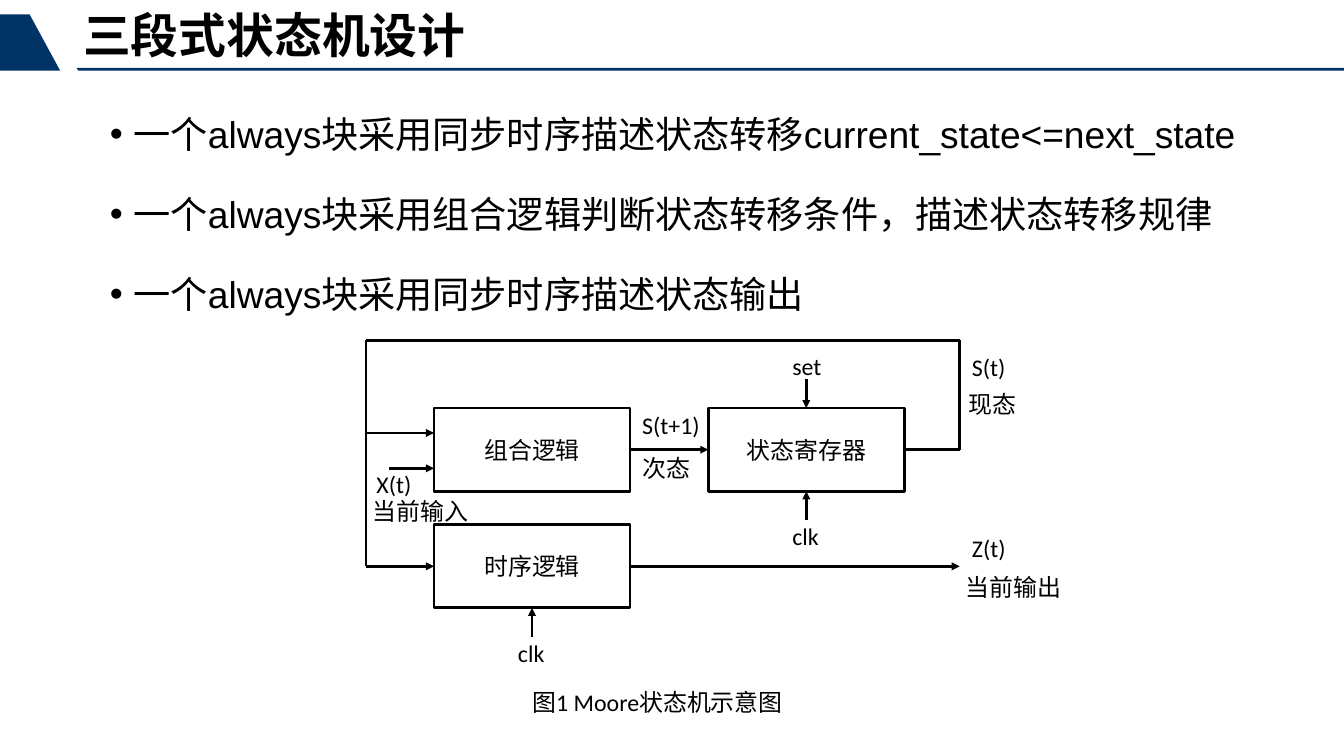
from dataclasses import dataclass

from lxml.etree import SubElement
from pptx import Presentation
from pptx.dml.color import RGBColor
from pptx.enum.shapes import MSO_CONNECTOR as Connector, MSO_SHAPE as Shape
from pptx.enum.text import MSO_ANCHOR as Anchor, MSO_AUTO_SIZE as AutoSize, PP_ALIGN as Align
from pptx.oxml.ns import qn
from pptx.util import Inches, Pt


@dataclass(frozen=True)
class Theme:
    ink: RGBColor = RGBColor(0x00, 0x00, 0x00)
    navy: RGBColor = RGBColor(0x00, 0x33, 0x66)
    heading_font: str = "Arial"
    label_font: str = "Calibri"
    title_size: int = 36
    bullet_size: int = 28
    label_size: int = 18
    line_width: int = 2


THEME = Theme()
TOP, LEFT, BOTTOM, RIGHT = range(4)

# Content
TITLE = "三段式状态机设计"
BULLETS = [
    "一个always块采用同步时序描述状态转移current_state<=next_state",
    "一个always块采用组合逻辑判断状态转移条件，描述状态转移规律",
    "一个always块采用同步时序描述状态输出",
]
CAPTION = "图1 Moore状态机示意图"
HEADER_SHAPES = [
    [(0.8, 0.71), (14.06, 0.71), (14.06, 0.74), (0.82, 0.74)],
    [(0.31, 0.15), (0.63, 0.74), (0, 0.74), (0, 0.15)],
]

# Diagram: blocks share one size, and wires follow from the blocks
BLOCK_WIDTH, BLOCK_HEIGHT = 2.05, 0.87
BLOCKS = {
    "logic": ("组合逻辑", 4.54, 4.27),
    "register": ("状态寄存器", 7.41, 4.27),
    "output": ("时序逻辑", 4.54, 5.49),
}
FEEDBACK_LEFT, FEEDBACK_RIGHT, FEEDBACK_TOP = 3.83, 10.04, 3.56
STATE_INPUT_Y, SIGNAL_INPUT_X, SIGNAL_INPUT_Y = 4.53, 4.07, 4.9
STUB = 0.3
LABELS = [
    ("S(t+1)", 6.62, 4.25, 0.81),
    ("次态", 6.62, 4.7, 0.71),
    ("clk", 8.19, 5.41, 0.48),
    ("set", 8.19, 3.63, 0.51),
    ("S(t)", 10.07, 3.64, 0.56),
    ("Z(t)", 10.07, 5.53, 0.56),
    ("现态", 10.03, 4.03, 0.71),
    ("当前输出", 10, 5.94, 1.21),
    ("当前输入", 3.8, 5.15, 1.21),
    ("X(t)", 3.84, 4.86, 0.57),
    ("clk", 5.32, 6.63, 0.48),
]


def add_text(paragraph, text, size, font, bold=False):
    run = paragraph.add_run()
    run.text = text
    run.font.size = Pt(size)
    run.font.name = font
    run.font.bold = bold
    run.font.color.rgb = THEME.ink


def add_label(slide, text, left, top, width, wrap=False):
    box = slide.shapes.add_textbox(Inches(left), Inches(top), Inches(width), Inches(0.4))
    box.text_frame.word_wrap = wrap
    add_text(box.text_frame.paragraphs[0], text, THEME.label_size, THEME.label_font)


def add_block(slide, text, left, top):
    block = slide.shapes.add_shape(
        Shape.RECTANGLE, Inches(left), Inches(top), Inches(BLOCK_WIDTH), Inches(BLOCK_HEIGHT))
    block.shadow.inherit = False
    block.fill.background()
    block.line.color.rgb = THEME.ink
    block.line.width = Pt(THEME.line_width)
    block.text_frame.vertical_anchor = Anchor.MIDDLE
    paragraph = block.text_frame.paragraphs[0]
    paragraph.alignment = Align.CENTER
    add_text(paragraph, text, THEME.label_size, THEME.heading_font)
    return block


def add_wire(slide, start, end, arrow=False, source=None, target=None):
    """Draw a wire; source and target are optional (block, side) joints."""
    points = [Inches(value) for value in (*start, *end)]
    wire = slide.shapes.add_connector(Connector.STRAIGHT, *points)
    wire.line.color.rgb = THEME.ink
    wire.line.width = Pt(THEME.line_width)
    if source:
        wire.begin_connect(*source)
    if target:
        wire.end_connect(*target)
    properties = wire._element.spPr
    if arrow:
        SubElement(properties.get_or_add_ln(), qn("a:tailEnd"), type="triangle")
    SubElement(properties, qn("a:effectLst"))


def side_point(name, side):
    _, left, top = BLOCKS[name]
    return {
        TOP: (left + BLOCK_WIDTH / 2, top),
        LEFT: (left, top + BLOCK_HEIGHT / 2),
        BOTTOM: (left + BLOCK_WIDTH / 2, top + BLOCK_HEIGHT),
        RIGHT: (left + BLOCK_WIDTH, top + BLOCK_HEIGHT / 2),
    }[side]


def add_header(slide):
    for points in HEADER_SHAPES:
        corners = [(Inches(x), Inches(y)) for x, y in points]
        builder = slide.shapes.build_freeform(*corners[0])
        builder.add_line_segments(corners[1:], close=True)
        shape = builder.convert_to_shape()
        shape.shadow.inherit = False
        shape.fill.solid()
        shape.fill.fore_color.rgb = THEME.navy
        shape.line.fill.background()

    title = slide.shapes.title
    title.left, title.top, title.width, title.height = map(Inches, (0.77, 0.08, 9, 1.25))
    title.text_frame.vertical_anchor = Anchor.TOP
    title.text_frame.auto_size = AutoSize.NONE
    paragraph = title.text_frame.paragraphs[0]
    paragraph.alignment = Align.LEFT
    paragraph.line_spacing = 0.9
    add_text(paragraph, TITLE, THEME.title_size, THEME.heading_font, bold=True)


def add_bullets(slide):
    box = slide.shapes.add_textbox(*map(Inches, (1.05, 0.88, 12.52, 2.6)))
    frame = box.text_frame
    frame.word_wrap = True
    for index, text in enumerate(BULLETS):
        paragraph = frame.add_paragraph() if index else frame.paragraphs[0]
        paragraph.line_spacing = 1.5
        paragraph.space_before = Pt(10)
        properties = paragraph._p.get_or_add_pPr()
        properties.set("marL", str(Inches(0.25)))
        properties.set("indent", str(-Inches(0.25)))
        SubElement(properties, qn("a:buFont"), typeface=THEME.heading_font)
        SubElement(properties, qn("a:buChar"), char="•")
        add_text(paragraph, text, THEME.bullet_size, THEME.heading_font)


def add_diagram(slide):
    blocks = {name: add_block(slide, *block) for name, block in BLOCKS.items()}

    # Next state and output
    register_out = side_point("register", RIGHT)
    output_out = side_point("output", RIGHT)
    add_wire(slide, side_point("logic", RIGHT), side_point("register", LEFT), True,
             (blocks["logic"], RIGHT), (blocks["register"], LEFT))
    add_wire(slide, output_out, (FEEDBACK_RIGHT, output_out[1]), True, (blocks["output"], RIGHT))

    # Set and clock stubs
    for name, side in (("register", TOP), ("register", BOTTOM), ("output", BOTTOM)):
        x, y = side_point(name, side)
        start = (x, y - STUB if side == TOP else y + STUB)
        add_wire(slide, start, (x, y), True, target=(blocks[name], side))

    # Feedback of the current state
    output_in = side_point("output", LEFT)
    logic_left = BLOCKS["logic"][1]
    corners = [
        (FEEDBACK_RIGHT, register_out[1]),
        (FEEDBACK_RIGHT, FEEDBACK_TOP),
        (FEEDBACK_LEFT, FEEDBACK_TOP),
        (FEEDBACK_LEFT, STATE_INPUT_Y),
        (FEEDBACK_LEFT, output_in[1]),
    ]
    add_wire(slide, register_out, corners[0], source=(blocks["register"], RIGHT))
    for start, end in zip(corners, corners[1:]):
        add_wire(slide, start, end)
    add_wire(slide, corners[-1], output_in, True, target=(blocks["output"], LEFT))

    # Inputs of the combinational logic
    for x, y in ((FEEDBACK_LEFT, STATE_INPUT_Y), (SIGNAL_INPUT_X, SIGNAL_INPUT_Y)):
        add_wire(slide, (x, y), (logic_left, y), True)

    for label in LABELS:
        add_label(slide, *label)
    add_label(slide, CAPTION, 5.47, 7.15, 2.85, wrap=True)


def main():
    presentation = Presentation()
    presentation.slide_width, presentation.slide_height = Inches(14.06), Inches(7.91)
    slide = presentation.slides.add_slide(presentation.slide_layouts[5])
    add_header(slide)
    add_bullets(slide)
    add_diagram(slide)
    presentation.save("out.pptx")


if __name__ == "__main__":
    main()
